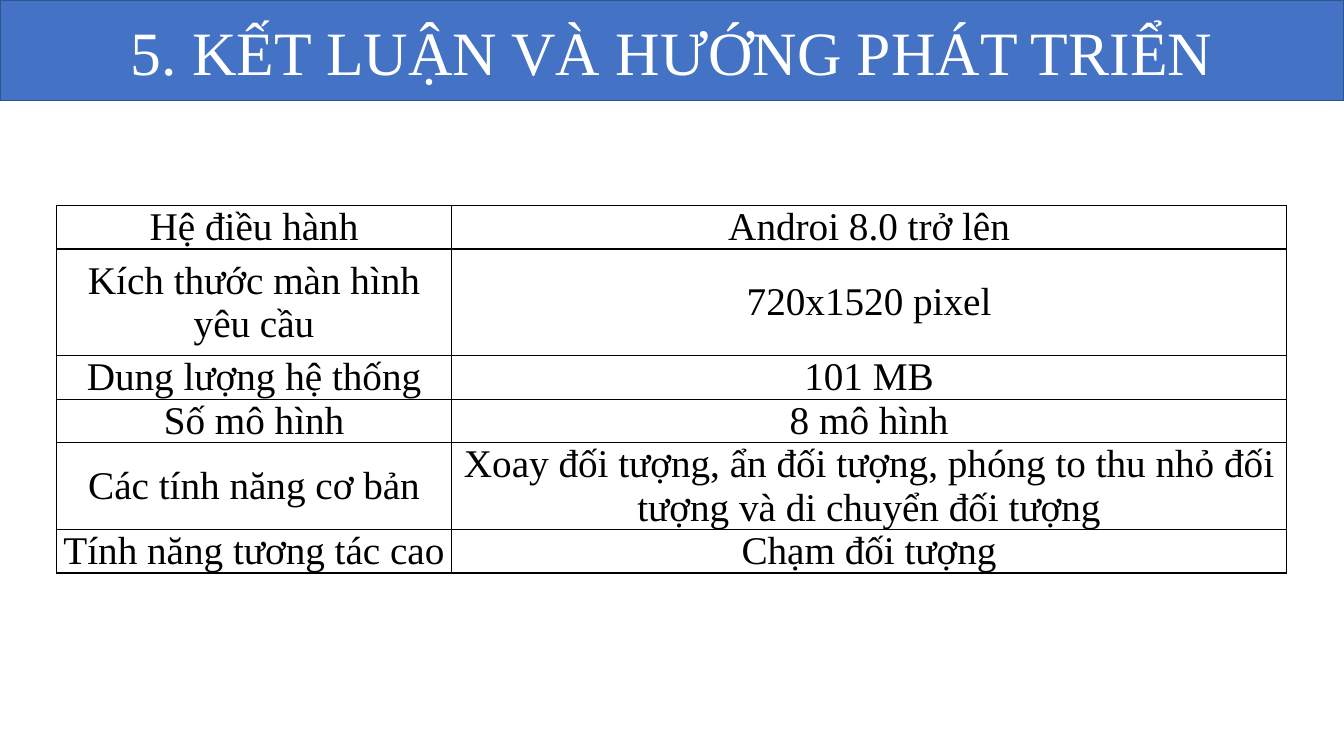
from lxml import etree
from pptx import Presentation
from pptx.dml.color import RGBColor
from pptx.enum.shapes import MSO_SHAPE as SHAPE
from pptx.enum.text import MSO_ANCHOR as ANCHOR, PP_ALIGN as ALIGN
from pptx.oxml.ns import qn
from pptx.util import Inches, Pt

ROWS = [
    ("Hệ điều hành", "Androi 8.0 trở lên"),
    ("Kích thước màn hình yêu cầu", "720x1520 pixel"),
    ("Dung lượng hệ thống", "101 MB"),
    ("Số mô hình", "8 mô hình"),
    ("Các tính năng cơ bản",
     "Xoay đối tượng, ẩn đối tượng, phóng to thu nhỏ đối tượng và di chuyển đối tượng"),
    ("Tính năng tương tác cao", "Chạm đối tượng"),
]
COL_WIDTHS = [3.92, 8.28]
ROW_HEIGHTS = [0.39, 1.06, 0.39, 0.39, 0.39, 0.39]


def rgb(color):
    return RGBColor.from_string(color)


class SlideBuilder:
    font = "Times New Roman"
    blue, edge, black, white = "4472C4", "31538F", "000000", "FFFFFF"

    def __init__(self, slide):
        self.slide = slide

    def set_text(self, tf, text, size, color):
        tf.text = text
        tf.word_wrap = True
        p = tf.paragraphs[0]
        p.alignment = ALIGN.CENTER
        for r in p.runs:
            r.font.name = self.font
            r.font.size = Pt(size)
            r.font.color.rgb = rgb(color)

    def banner(self, text, width, height):
        sp = self.slide.shapes.add_shape(SHAPE.RECTANGLE, 0, 0, Inches(width), Inches(height))
        sp.shadow.inherit = False
        sp.fill.solid()
        sp.fill.fore_color.rgb = rgb(self.blue)
        sp.line.color.rgb = rgb(self.edge)
        sp.line.width = Pt(1)
        sp.text_frame.vertical_anchor = ANCHOR.MIDDLE
        self.set_text(sp.text_frame, text, 44, self.white)

    def border(self, cell):
        """Draw a thin black line on all four sides of a cell."""
        tc_pr = cell._tc.get_or_add_tcPr()
        for i, side in enumerate(("a:lnL", "a:lnR", "a:lnT", "a:lnB")):
            ln = etree.Element(qn(side), w=str(Pt(1)))
            fill = etree.SubElement(ln, qn("a:solidFill"))
            etree.SubElement(fill, qn("a:srgbClr"), val=self.black)
            tc_pr.insert(i, ln)

    def table(self, left, top, rows, widths, heights):
        table = self.slide.shapes.add_table(
            len(rows), len(widths), Inches(left), Inches(top),
            Inches(sum(widths)), Inches(sum(heights))).table
        table.first_row = table.horz_banding = False
        for col, width in zip(table.columns, widths):
            col.width = Inches(width)
        for row, height, texts in zip(table.rows, heights, rows):
            row.height = Inches(height)
            for cell, text in zip(row.cells, texts):
                cell.fill.background()
                cell.vertical_anchor = ANCHOR.MIDDLE
                cell.margin_left = cell.margin_right = Inches(0.07)
                cell.margin_top = cell.margin_bottom = 0
                self.border(cell)
                self.set_text(cell.text_frame, text, 28, self.black)


def main():
    prs = Presentation()
    prs.slide_width, prs.slide_height = Inches(13.33), Inches(7.5)
    builder = SlideBuilder(prs.slides.add_slide(prs.slide_layouts[6]))
    builder.banner("5. KẾT LUẬN VÀ HƯỚNG PHÁT TRIỂN", 13.33, 1)
    builder.table(0.56, 2.04, ROWS, COL_WIDTHS, ROW_HEIGHTS)
    prs.save("out.pptx")


if __name__ == "__main__":
    main()
